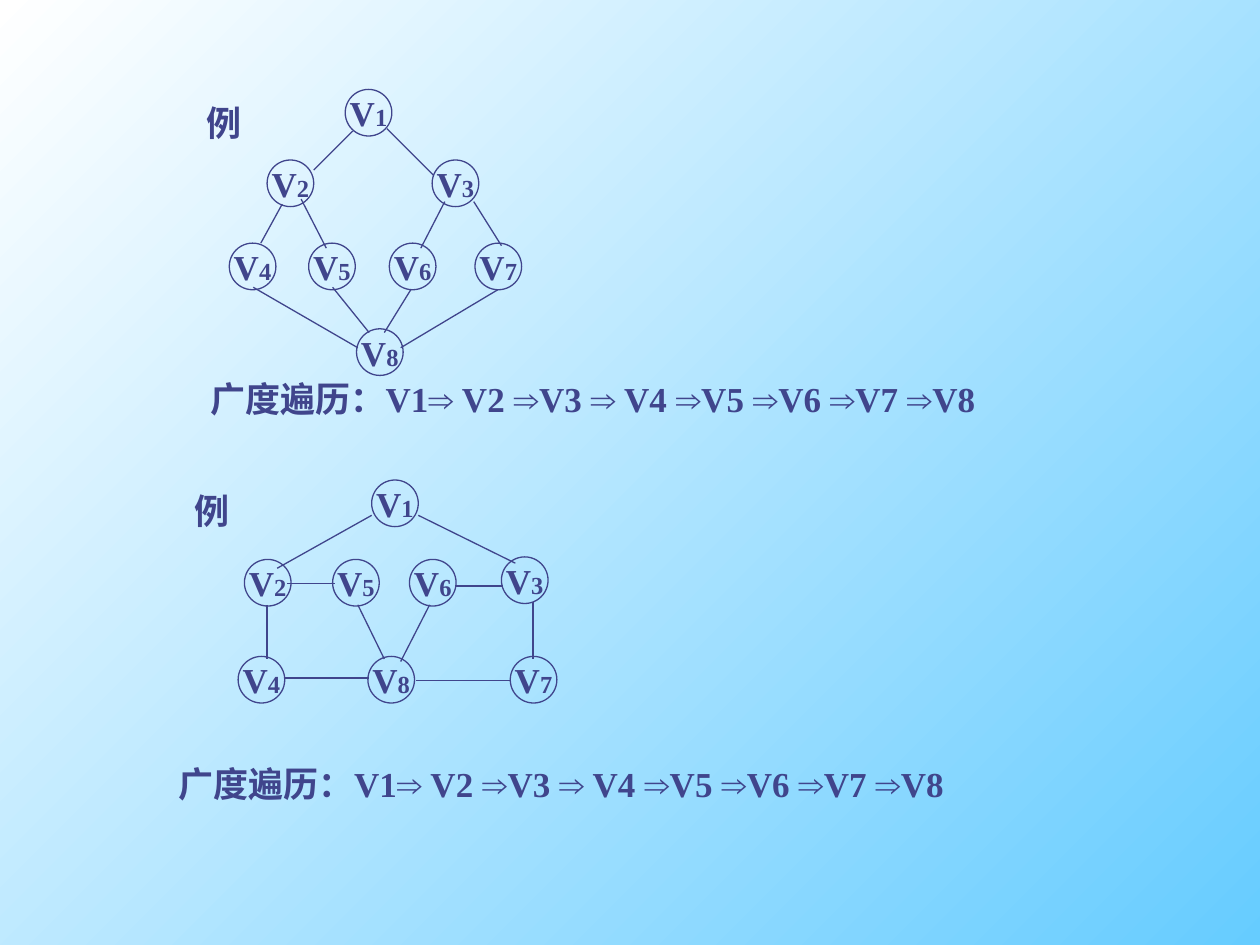
from pptx import Presentation
from pptx.dml.color import RGBColor
from pptx.enum.shapes import MSO_CONNECTOR, MSO_SHAPE
from pptx.enum.text import MSO_ANCHOR, MSO_AUTO_SIZE, PP_ALIGN
from pptx.oxml.ns import qn
from pptx.util import Inches, Pt

INK = RGBColor(0x40, 0x45, 0x8C)
SKY = RGBColor(0x66, 0xCC, 0xFF)
WHITE = RGBColor(0xFF, 0xFF, 0xFF)
OVAL = MSO_SHAPE.OVAL
LINE = MSO_CONNECTOR.STRAIGHT
MIDDLE = MSO_ANCHOR.MIDDLE
TOP = MSO_ANCHOR.TOP
CENTER = PP_ALIGN.CENTER
LEFT = PP_ALIGN.LEFT
FIT = MSO_AUTO_SIZE.SHAPE_TO_FIT_TEXT
SERIF = "Times New Roman"
SANS = "Arial"
ARROW = "⇒"
ORDER = ("广度遍历：V1", " V2 ", "V3 ", " V4 ", "V5 ", "V6 ", "V7 ", "V8")

TREE = {
    "label": (1.54, 0.75),
    "nodes": {1: (2.74, 0.71), 2: (2.12, 1.27), 4: (1.82, 1.93), 5: (2.45, 1.93),
              3: (3.43, 1.27), 7: (3.77, 1.93), 6: (3.09, 1.93), 8: (2.83, 2.61)},
    "edges": [(2.8, 1.04, 2.49, 1.35), (3.07, 1.02, 3.44, 1.39),
              (2.24, 1.62, 2.07, 1.93), (2.39, 1.58, 2.59, 1.97),
              (3.53, 1.6, 3.34, 1.97), (3.76, 1.6, 3.98, 1.95),
              (2.64, 2.28, 2.93, 2.64), (3.26, 2.3, 3.05, 2.64),
              (2.01, 2.28, 2.84, 2.76), (3.95, 2.3, 3.18, 2.76)],
}
MESH = {
    "label": (1.44, 3.83),
    "nodes": {1: (2.95, 3.81), 2: (1.94, 4.44), 4: (1.89, 5.21), 5: (2.64, 4.44),
              3: (3.98, 4.42), 7: (4.05, 5.21), 6: (3.25, 4.44), 8: (2.92, 5.21)},
    "edges": [(2.95, 4.09, 2.2, 4.51), (3.32, 4.09, 4.09, 4.47),
              (2.28, 4.63, 2.66, 4.63), (3.61, 4.65, 3.99, 4.65),
              (2.12, 4.8, 2.12, 5.23), (2.26, 5.38, 2.93, 5.38),
              (3.3, 5.4, 4.05, 5.4), (4.23, 4.78, 4.23, 5.23),
              (2.84, 4.8, 3.05, 5.23), (3.41, 4.8, 3.18, 5.25)],
}


def write(para, text, size=20, face=SERIF):
    run = para.add_run()
    run.text = text
    font = run.font
    font.name = face
    font.size = Pt(size)
    font.bold = True
    font.color.rgb = INK


class Board:
    def __init__(self, slide, weight=0.75, side=0.37):
        self.slide = slide
        self.weight = Pt(weight)
        self.side = Inches(side)

    def paint(self):
        fill = self.slide.background.fill
        fill.gradient()
        fill.gradient_angle = 135
        for stop, tint in zip(fill.gradient_stops, (SKY, WHITE)):
            stop.color.rgb = tint

    def start(self, shape, align, anchor):
        frame = shape.text_frame
        frame.word_wrap = False
        frame.vertical_anchor = anchor
        para = frame.paragraphs[0]
        para.alignment = align
        return para

    def text(self, shapes, spot, width, align=LEFT, anchor=TOP):
        x, y = spot
        box = shapes.add_textbox(Inches(x), Inches(y), Inches(width), Inches(0.44))
        box.text_frame.auto_size = FIT
        return self.start(box, align, anchor)

    def node(self, shapes, digit, spot):
        x, y = spot
        disc = shapes.add_shape(OVAL, Inches(x), Inches(y), self.side, self.side)
        disc.shadow.inherit = False
        disc.fill.background()
        disc.line.color.rgb = INK
        disc.line.width = self.weight
        para = self.start(disc, CENTER, MIDDLE)
        write(para, "V")
        write(para, str(digit), size=14)

    def edge(self, shapes, ends):
        wire = shapes.add_connector(LINE, *map(Inches, ends))
        wire.line.color.rgb = INK
        wire.line.width = self.weight
        props = wire.element.spPr
        props.append(props.makeelement(qn("a:effectLst"), {}))

    def graph(self, data):
        shapes = self.slide.shapes.add_group_shape().shapes
        for digit, spot in data["nodes"].items():
            self.node(shapes, digit, spot)
        for ends in data["edges"]:
            self.edge(shapes, ends)
        write(self.text(shapes, data["label"], 0.48, CENTER, MIDDLE), "例")

    def route(self, spot):
        para = self.text(self.slide.shapes, spot, 6.49)
        for step, text in enumerate(ORDER):
            if step:
                write(para, ARROW, face=SANS)
            write(para, text)


def main():
    deck = Presentation()
    deck.slide_width = Inches(10)
    deck.slide_height = Inches(7.5)
    board = Board(deck.slides.add_slide(deck.slide_layouts[6]))
    board.paint()
    board.graph(TREE)
    board.graph(MESH)
    board.route((1.57, 2.95))
    board.route((1.32, 6))
    deck.save("out.pptx")


if __name__ == "__main__":
    main()
